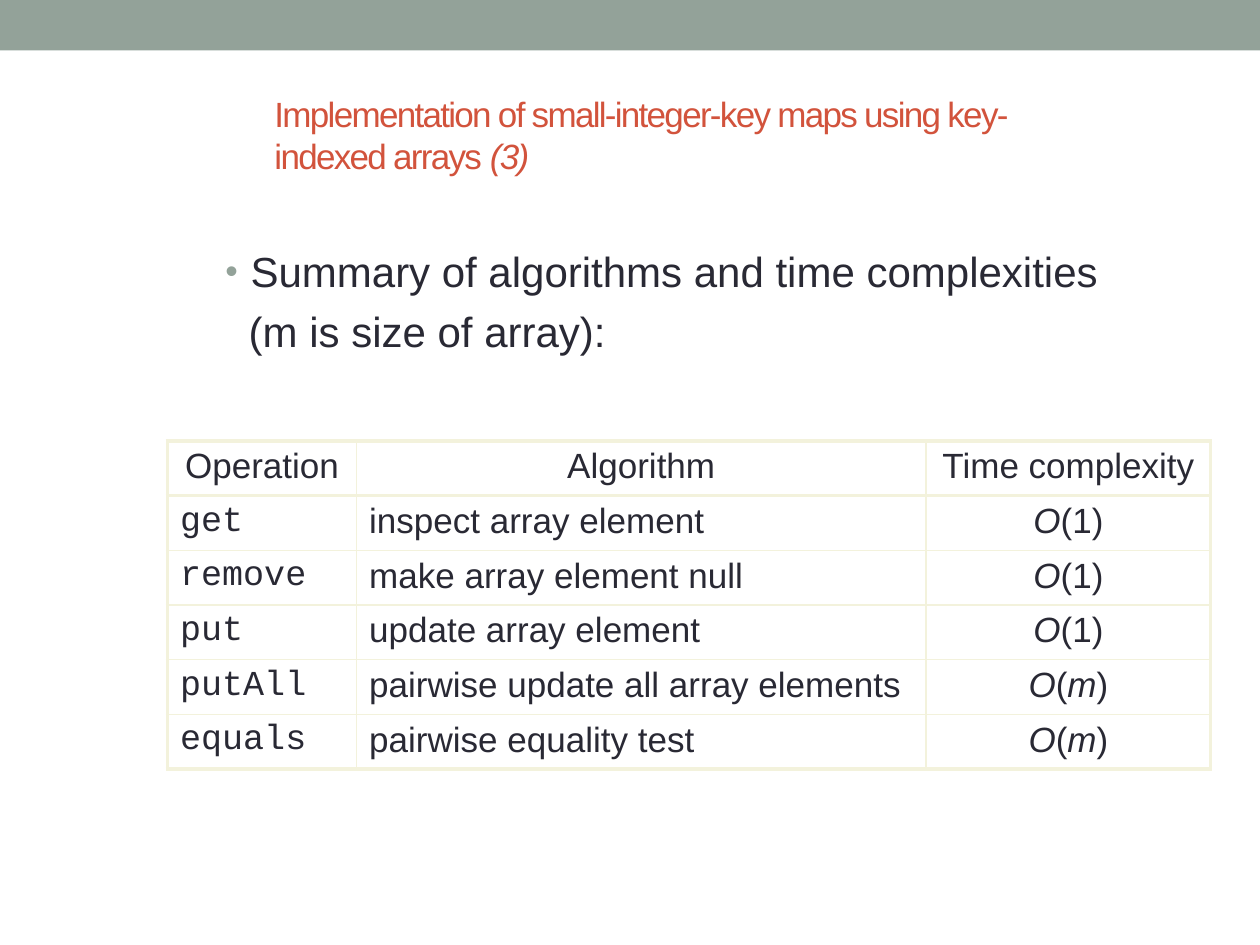
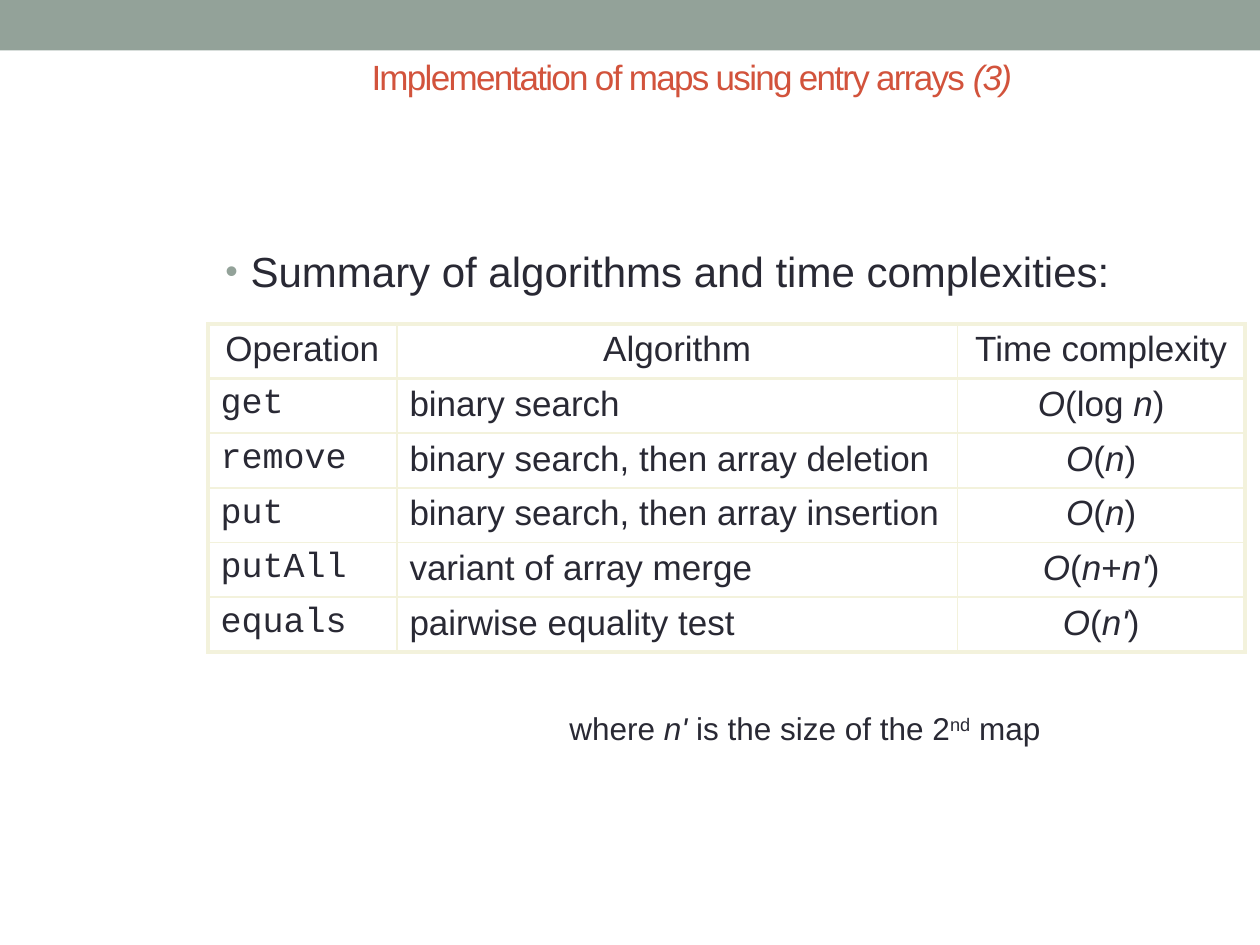
from lxml.etree import SubElement
from pptx import Presentation
from pptx.dml.color import RGBColor
from pptx.enum.shapes import MSO_SHAPE
from pptx.enum.text import MSO_ANCHOR, PP_ALIGN
from pptx.oxml.ns import qn
from pptx.util import Inches, Pt

SAGE = RGBColor(0x93, 0xA2, 0x99)
RUST = RGBColor(0xD2, 0x53, 0x3C)
INK = RGBColor(0x29, 0x29, 0x34)
CREAM = RGBColor(0xF3, 0xF2, 0xDC)
WHITE = RGBColor(0xFF, 0xFF, 0xFF)
SANS, MONO = "Arial", "Courier New"
COLS, ROWS = 100, 75  # grid cells across and down the slide
THICK, THIN = Pt(2.25), Pt(1)
HEADER = ("Operation", "Algorithm", "Time complexity")
BODY_AT = (16.9, 18.6, 78.8, 50.5)


class Deck:
    def __init__(self):
        self.prs = Presentation()
        self.prs.slide_width, self.prs.slide_height = Inches(10), Inches(7.5)
        self.s = None

    def x(self, cols):
        return round(self.prs.slide_width * cols / COLS)

    def y(self, rows):
        return round(self.prs.slide_height * rows / ROWS)

    def place(self, left, top, width, height):
        return self.x(left), self.y(top), self.x(width), self.y(height)

    def new_slide(self, title, title_at):
        self.s = self.prs.slides.add_slide(self.prs.slide_layouts[6])
        self.band()
        self.title(title, title_at)

    def band(self):
        sp = self.s.shapes.add_shape(MSO_SHAPE.RECTANGLE, *self.place(0, 0, COLS, 4))
        sp.shadow.inherit = False
        sp.fill.solid()
        sp.fill.fore_color.rgb = SAGE
        sp.line.fill.background()

    def runs(self, p, text, size, color=INK, font=SANS, spacing=None):
        """Add runs: *...* is italic and ^...^ is superscript."""
        for i, part in enumerate(text.split("*")):
            for j, piece in enumerate(part.split("^")):
                if not piece:
                    continue
                r = p.add_run()
                r.text = piece
                r.font.name, r.font.size = font, Pt(size)
                r.font.color.rgb = color
                r.font.italic = i % 2 == 1
                if j % 2:
                    r._r.get_or_add_rPr().set("baseline", "30000")
                if spacing:
                    r._r.get_or_add_rPr().set("spc", str(spacing))

    def text_box(self, at):
        tf = self.s.shapes.add_textbox(*self.place(*at)).text_frame
        tf.word_wrap = True
        return tf

    def title(self, text, at):
        tf = self.text_box(at)
        tf.vertical_anchor = MSO_ANCHOR.MIDDLE
        self.runs(tf.paragraphs[0], text, 20, RUST, spacing=-100)

    def note(self, text, at):
        self.runs(self.text_box(at).paragraphs[0], text, 18)

    def body(self, bullet, continuation=None):
        tf = self.text_box(BODY_AT)
        tf.margin_top = self.y(0.9)
        p = tf.paragraphs[0]
        pPr = p._p.get_or_add_pPr()
        pPr.set("marL", str(self.x(2)))
        pPr.set("indent", str(-self.x(2)))
        SubElement(SubElement(pPr, qn("a:buClr")), qn("a:srgbClr"), val=str(SAGE))
        SubElement(pPr, qn("a:buSzPct"), val="85000")
        SubElement(pPr, qn("a:buFont"), typeface=SANS)
        SubElement(pPr, qn("a:buChar"), char="•")
        self.runs(p, bullet, 24)
        if continuation:
            p = tf.add_paragraph()
            p.space_before = Pt(5.5)
            p._p.get_or_add_pPr().set("marL", str(self.x(1.85)))
            self.runs(p, continuation, 24)

    def borders(self, cell, widths):
        tcPr = cell._tc.get_or_add_tcPr()
        for i, (side, width) in enumerate(zip("LRTB", widths)):
            ln = tcPr.makeelement(qn("a:ln" + side), {"w": str(width)})
            SubElement(SubElement(ln, qn("a:solidFill")), qn("a:srgbClr"), val=str(CREAM))
            tcPr.insert(i, ln)  # borders precede the fill

    def table(self, left, top, widths, operations):
        rows = [HEADER, *operations]
        at = self.place(left, top, sum(widths), 26)
        table = self.s.shapes.add_table(len(rows), len(widths), *at).table
        table.first_row = table.horz_banding = False
        for column, width in zip(table.columns, widths):
            column.width = self.x(width)
        last_row, last_col = len(rows) - 1, len(widths) - 1
        for i, row in enumerate(rows):
            table.rows[i].height = self.y(26 / len(rows))
            for j, text in enumerate(row):
                cell = table.cell(i, j)
                cell.fill.solid()
                cell.fill.fore_color.rgb = WHITE
                p = cell.text_frame.paragraphs[0]
                if i == 0 or j == last_col:
                    p.alignment = PP_ALIGN.CENTER
                self.runs(p, text, 20, font=MONO if i and j == 0 else SANS)
                # Thick outer frame and header rule
                heavy = (j == 0, j == last_col, i in (0, 1), i in (0, last_row))
                self.borders(cell, [THICK if h else THIN for h in heavy])


def main():
    deck = Deck()

    # Key-indexed arrays
    deck.new_slide("Implementation of small-integer-key maps using "
                   "key-indexed arrays *(3)*", (20.8, 6.7, 67.2, 7.9))
    deck.body("Summary of algorithms and time complexities", "(m is size of array):")
    deck.table(13.3, 35, (15, 45.2, 22.6), [
        ("get", "inspect array element", "*O*(1)"),
        ("remove", "make array element null", "*O*(1)"),
        ("put", "update array element", "*O*(1)"),
        ("putAll", "pairwise update all array elements", "*O*(*m*)"),
        ("equals", "pairwise equality test", "*O*(*m*)"),
    ])

    # Entry arrays
    deck.new_slide("Implementation of maps using entry arrays *(3)*",
                   (28.5, 2.1, 67.2, 7.9))
    deck.body("Summary of algorithms and time complexities:")
    deck.table(16.5, 25.7, (15, 44.5, 22.8), [
        ("get", "binary search", "*O*(log *n*)"),
        ("remove", "binary search, then array deletion", "*O*(*n*)"),
        ("put", "binary search, then array insertion", "*O*(*n*)"),
        ("putAll", "variant of array merge", "*O*(*n*+*n'*)"),
        ("equals", "pairwise equality test", "*O*(*n'*)"),
    ])
    deck.note("where *n'* is the size of the 2^nd^ map", (44.2, 55.8, 40.2, 4))

    deck.prs.save("out.pptx")


if __name__ == "__main__":
    main()
